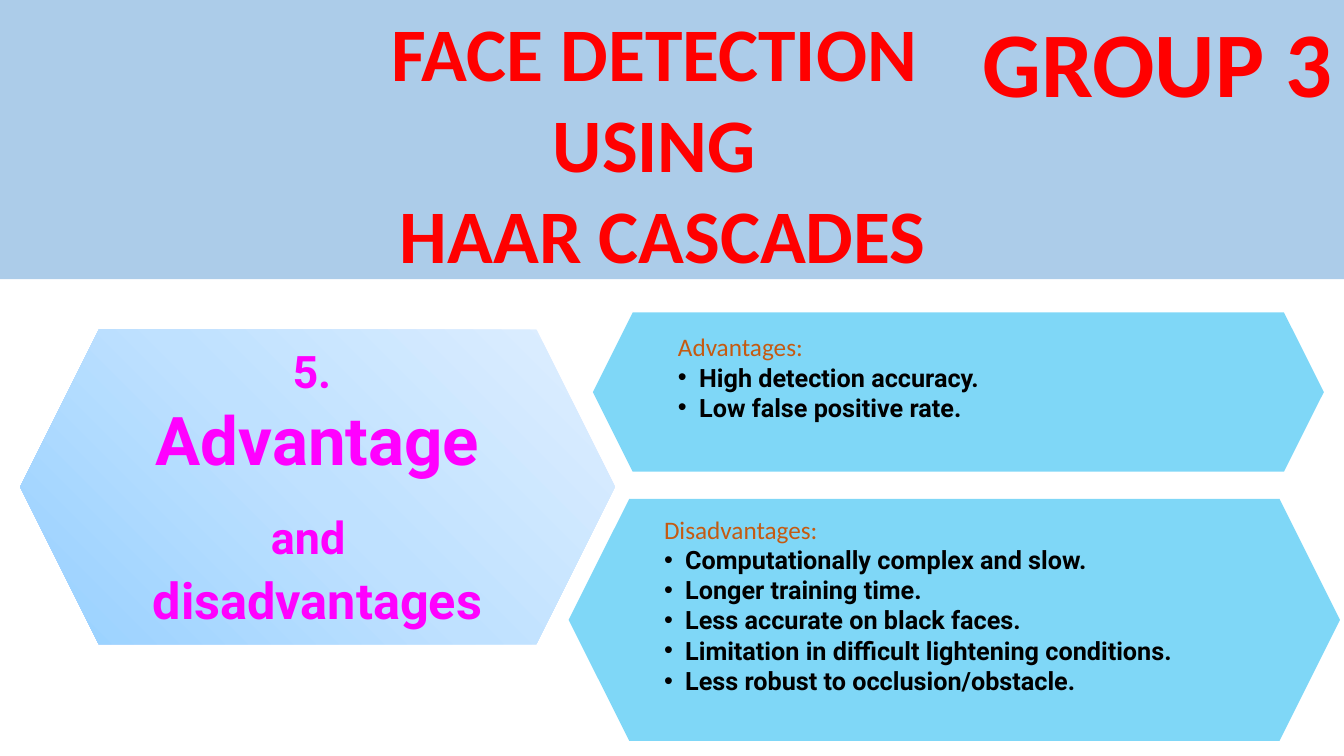
from lxml import etree
from pptx import Presentation
from pptx.dml.color import RGBColor
from pptx.enum.shapes import MSO_SHAPE
from pptx.enum.text import MSO_ANCHOR, MSO_AUTO_SIZE, PP_ALIGN
from pptx.oxml import parse_xml
from pptx.oxml.ns import nsdecls, qn
from pptx.util import Inches, Pt

RECTANGLE, HEXAGON = MSO_SHAPE.RECTANGLE, MSO_SHAPE.HEXAGON
LEFT, CENTER = PP_ALIGN.LEFT, PP_ALIGN.CENTER
COLORS = {"banner": "5B9BD5", "panel": "00B0F0", "heading": "FF0000",
          "topic": "FF00FF", "label": "C55A11", "text": "000000"}
TOPIC_GRADIENT = [(0, "96D0FF"), (50, "BFE1FF"), (100, "E0EFFF")]


def add_panel(kind, box, color):
    """Add a borderless shape with a half-transparent fill."""
    panel = slide.shapes.add_shape(kind, *map(Inches, box))
    panel.shadow.inherit = False
    panel.line.fill.background()
    panel.fill.solid()
    panel.fill.fore_color.rgb = RGBColor.from_string(COLORS[color])
    fill_color = panel.fill._xPr.find(qn("a:solidFill"))[0]
    etree.SubElement(fill_color, qn("a:alpha"), val="50000")
    return panel


def style(run, size, color, font="Calibri", bold=True, outline=None):
    """Format a run; outline is a (hex colour, points) pair."""
    run.font.size, run.font.name, run.font.bold = Pt(size), font, bold
    run.font.color.rgb = RGBColor.from_string(COLORS[color])
    if outline:
        run._r.get_or_add_rPr().insert(0, parse_xml(
            f'<a:ln {nsdecls("a")} w="{Pt(outline[1])}"><a:solidFill>'
            f'<a:srgbClr val="{outline[0]}"/></a:solidFill></a:ln>'))


prs = Presentation()
prs.slide_width, prs.slide_height = Inches(13.33), Inches(7.5)
slide = prs.slides.add_slide(prs.slide_layouts[5])

# Banner, placed behind the title
banner = add_panel(RECTANGLE, (0, 0, 13.33, 2.77), "banner")
slide.shapes._spTree.insert(2, banner._element)

# Title and group name
title = slide.shapes.title
title.left, title.top, title.width, title.height = map(
    Inches, (3.45, 0.01, 6.25, 2.83))
title.text_frame.text = "FACE DETECTION \nUSING \nHAAR CASCADES"
group = slide.shapes.add_textbox(*map(Inches, (9.63, 0, 3.7, 1.21)))
group.text_frame.text = "GROUP 3"
for heading, size, outline in ((title, 54, ("000000", 0.5)), (group, 66, None)):
    frame = heading.text_frame
    frame.word_wrap = False
    frame.auto_size = MSO_AUTO_SIZE.SHAPE_TO_FIT_TEXT
    frame.vertical_anchor = MSO_ANCHOR.TOP
    for paragraph in frame.paragraphs:
        paragraph.alignment = CENTER
        paragraph.line_spacing = 1.0
        style(paragraph.runs[0], size, "heading", outline=outline)

# Topic hexagon with a gradient spreading from its lower left corner
topic = add_panel(HEXAGON, (0.2, 3.27, 5.9, 3.12), "panel")
stops = "".join(f'<a:gs pos="{pos * 1000}"><a:srgbClr val="{color}"/></a:gs>'
                for pos, color in TOPIC_GRADIENT)
solid_fill = topic.fill._xPr.find(qn("a:solidFill"))
solid_fill.getparent().replace(solid_fill, parse_xml(
    f'<a:gradFill {nsdecls("a")} rotWithShape="1"><a:gsLst>{stops}</a:gsLst>'
    '<a:path path="circle"><a:fillToRect t="100000" r="100000"/></a:path>'
    '</a:gradFill>'))
topic.text_frame.text = "5. \nAdvantage\nand\ndisadvantages"
topic_lines = topic.text_frame.paragraphs
for paragraph, size in zip(topic_lines, (32, 48, 32, 36)):
    paragraph.alignment = CENTER
    style(paragraph.runs[0], size, "topic", "Roboto", outline=("FF0000", 0.75))
and_space = topic_lines[2].add_run()
and_space.text = " "
style(and_space, 54, "topic", "Roboto")

# Advantages and disadvantages
lists = [
    ((5.88, 3.1, 7.25, 1.58), "Advantages:",
     ["High detection accuracy.", "Low false positive rate."]),
    ((5.64, 4.95, 7.65, 2.4), "Disadvantages:",
     ["Computationally complex and slow.", "Longer training time.",
      "Less accurate on black faces.",
      "Limitation in difficult lightening conditions.",
      "Less robust to occlusion/obstacle."]),
]
for box, label, points in lists:
    frame = add_panel(HEXAGON, box, "panel").text_frame
    frame.margin_bottom = Inches(0.35)
    frame.text = "\n".join([label] + points)
    label_line, *point_lines = frame.paragraphs
    label_line.alignment = LEFT
    label_line._p.get_or_add_pPr().set("marL", str(Inches(0.01)))
    style(label_line.runs[0], 18, "label", bold=False)
    for paragraph in point_lines:
        paragraph.alignment = LEFT
        props = paragraph._p.get_or_add_pPr()
        props.set("marL", str(Inches(0.22)))
        props.set("indent", str(Inches(-0.21)))
        etree.SubElement(props, qn("a:buFont"), typeface="Arial")
        etree.SubElement(props, qn("a:buChar"), char="•")
        tabs = etree.SubElement(props, qn("a:tabLst"))
        etree.SubElement(tabs, qn("a:tab"), pos=str(Inches(0.22)), algn="l")
        style(paragraph.runs[0], 18, "text", "Roboto")

prs.save("out.pptx")
